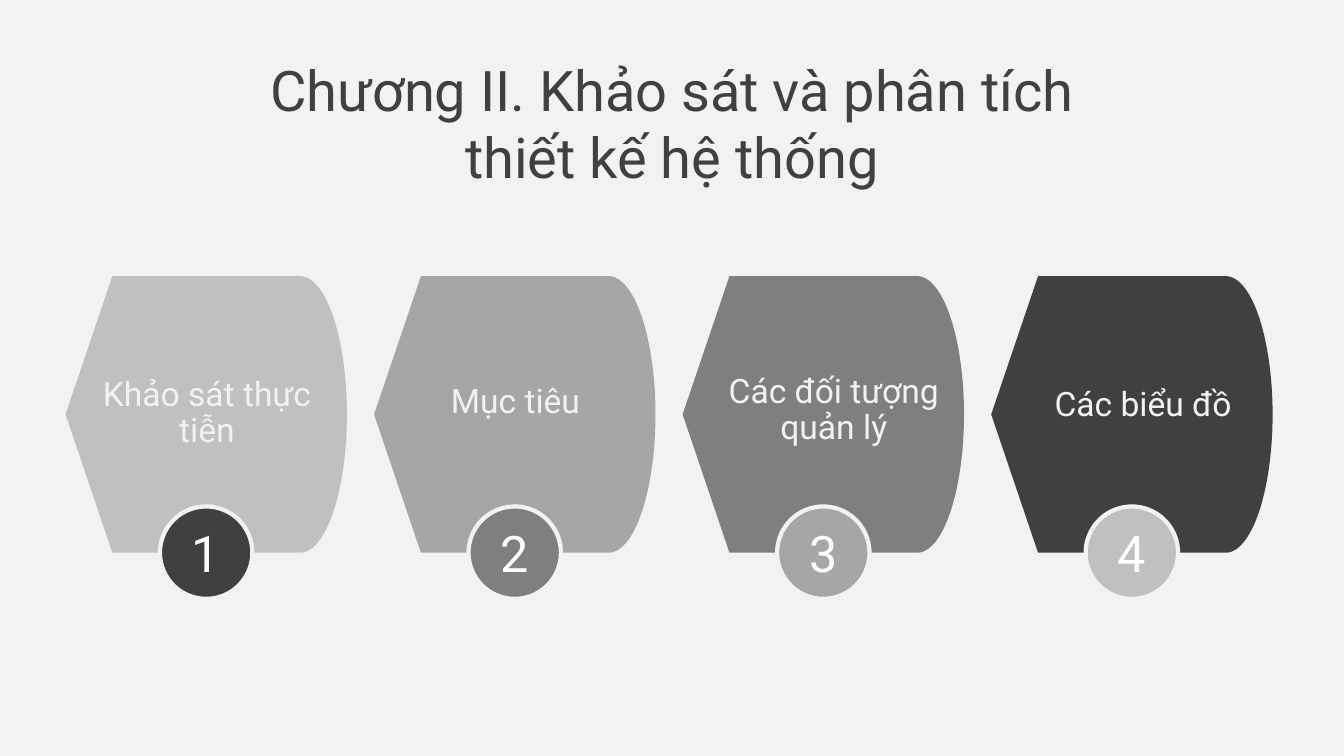
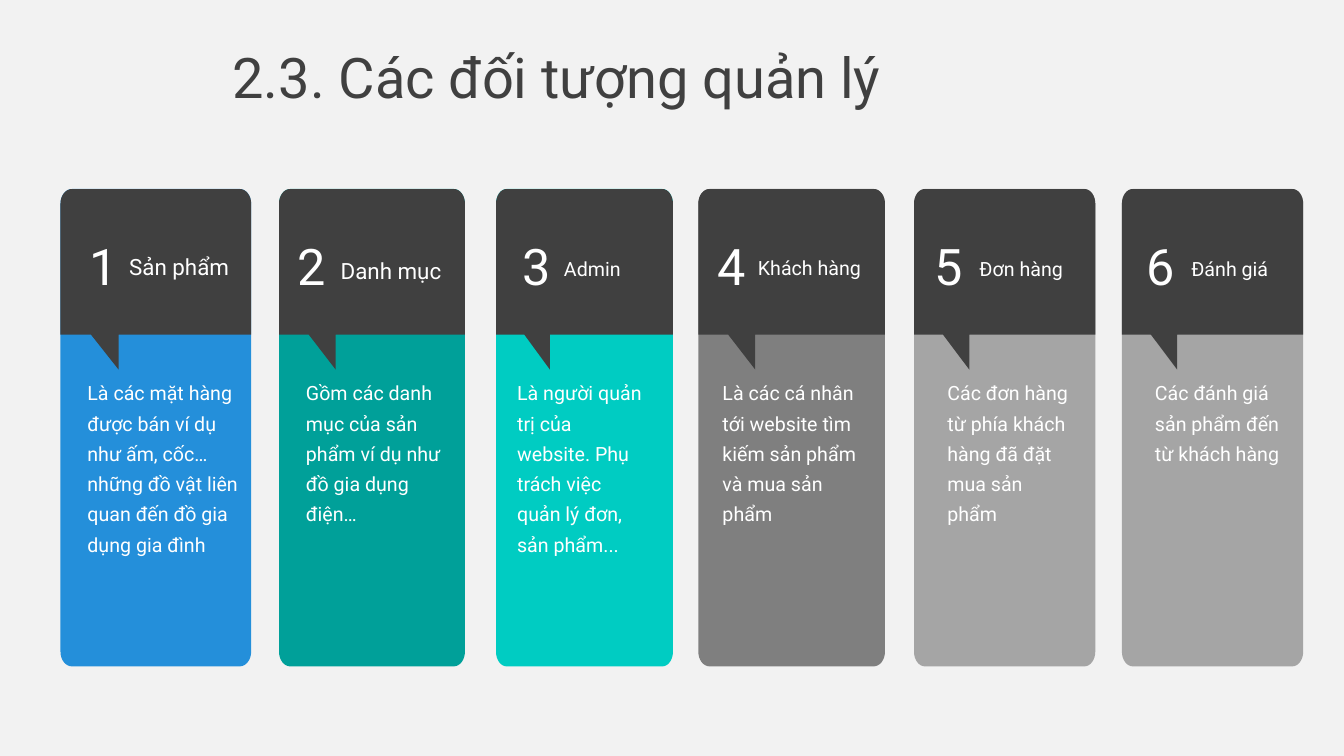
from math import cos, pi, sin

from pptx import Presentation
from pptx.dml.color import RGBColor
from pptx.enum.shapes import MSO_SHAPE
from pptx.enum.text import MSO_ANCHOR, MSO_AUTO_SIZE, PP_ALIGN
from pptx.util import Pt

DISPLAY, OVAL = MSO_SHAPE.FLOWCHART_DISPLAY, MSO_SHAPE.OVAL
TOP, MIDDLE = MSO_ANCHOR.TOP, MSO_ANCHOR.MIDDLE
LEFT, CENTER = PP_ALIGN.LEFT, PP_ALIGN.CENTER
NO_FIT = MSO_AUTO_SIZE.NONE

WHITE = RGBColor(0xFF, 0xFF, 0xFF)
PAPER = RGBColor(0xF2, 0xF2, 0xF2)
DARK = RGBColor(0x40, 0x40, 0x40)
GREY = RGBColor(0x7F, 0x7F, 0x7F)
MID_GREY = RGBColor(0xA6, 0xA6, 0xA6)
CARD_GREY = RGBColor(0xA5, 0xA5, 0xA5)
LIGHT_GREY = RGBColor(0xC0, 0xC0, 0xC0)
BLUE = RGBColor(0x24, 0x8F, 0xDA)
TEAL = RGBColor(0x00, 0xA0, 0x99)
TURQUOISE = RGBColor(0x00, 0xCC, 0xC2)

FONT = "Roboto"
TITLE_ONLY = 5

# label, colour, badge colour, label offset from the step (x, y)
STEPS = [
    ("Khảo sát thực tiễn", LIGHT_GREY, DARK, 8, 69),
    ("Mục tiêu", MID_GREY, GREY, 8, 74),
    ("Các đối tượng quản lý", GREY, MID_GREY, 15, 66.5),
    ("Các biểu đồ", DARK, LIGHT_GREY, 15.5, 76),
]

# left, width, colour, number centre, (label, size, x, y), (text, x, width)
CARDS = [
    (43.2, 136.2, BLUE, 30.5, ("Sản phẩm", 16, 42, 40),
     ("Là các mặt hàng được bán ví dụ như ấm, cốc… những đồ vật liên quan "
      "đến đồ gia dụng gia đình", 12.2, 124)),
    (199.3, 132.8, TEAL, 23, ("Danh mục", 16, 37, 43),
     ("Gồm các danh mục của sản phẩm ví dụ như đồ gia dụng điện…", 12.2, 114)),
    (354.3, 126.4, TURQUOISE, 29, ("Admin", 14, 41.5, 40),
     ("Là người quản trị của website. Phụ trách việc quản lý đơn, "
      "sản phẩm...", 8, 108.7)),
    (498.8, 133.3, GREY, 24, ("Khách hàng", 14, 35.5, 39.5),
     ("Là các cá nhân tới website tìm kiếm sản phẩm và mua sản phẩm",
      10.2, 114.5)),
    (652.9, 129.5, CARD_GREY, 24.5, ("Đơn hàng", 14, 39.7, 40.5),
     ("Các đơn hàng từ phía khách hàng đã đặt mua sản phẩm", 16.7, 104.4)),
    (801.4, 129.5, CARD_GREY, 27.5, ("Đánh giá", 14, 42.5, 40.5),
     ("Các đánh giá sản phẩm đến từ khách hàng", 16.5, 105)),
]


def box(*lengths):
    return [Pt(v) for v in lengths]


def write(tf, text, size, color, align=LEFT, anchor=TOP, spacing=None):
    frame = dict(word_wrap=True, auto_size=NO_FIT, vertical_anchor=anchor)
    for name, value in frame.items():
        setattr(tf, name, value)
    p = tf.paragraphs[0]
    p.alignment = align
    p.line_spacing = spacing
    r = p.add_run()
    r.text = text
    for name, value in dict(name=FONT, size=Pt(size)).items():
        setattr(r.font, name, value)
    r.font.color.rgb = color


def add_text(s, x, y, w, h, text, size, color, **style):
    tb = s.shapes.add_textbox(*box(x, y, w, h))
    write(tb.text_frame, text, size, color, **style)


def paint(sp, color):
    sp.shadow.inherit = False
    sp.fill.solid()
    sp.fill.fore_color.rgb = color
    sp.line.fill.background()


def add_slide(prs, title, *title_box):
    s = prs.slides.add_slide(prs.slide_layouts[TITLE_ONLY])
    sp = s.shapes.title
    sp.left, sp.top, sp.width, sp.height = box(*title_box)
    write(sp.text_frame, title, 40, DARK, align=CENTER)
    return s


def add_step(s, x, y, w, h, number, step):
    label, color, badge_color, dx, dy = step
    paint(s.shapes.add_shape(DISPLAY, *box(x, y, w, h)), color)
    d = 66
    badge = s.shapes.add_shape(
        OVAL, *box(x + (w - d) / 2, y + h - d / 2, d, d))
    paint(badge, badge_color)
    badge.line.color.rgb = PAPER
    badge.line.width = Pt(3)
    write(badge.text_frame, str(number), 36, WHITE, align=CENTER, anchor=MIDDLE)
    add_text(s, x + dx, y + dy, 186, 60, label, 24, PAPER,
             align=CENTER, spacing=0.9)


def corner(cx, cy, rx, ry, start):
    """Points of a quarter ellipse, clockwise from the start angle."""
    angles = [start + pi / 2 * i / 8 for i in range(9)]
    return [(cx + rx * cos(a), cy + ry * sin(a)) for a in angles]


def add_outline(s, points, color):
    points = [box(*point) for point in points]
    fb = s.shapes.build_freeform(*points[0])
    fb.add_line_segments(points[1:], close=True)
    paint(fb.convert_to_shape(), color)


def add_card(s, y, h, number, card):
    x, w, color, number_x, (label, size, dx, dy), (text, text_x, text_w) = card
    rx, ry, fold, tip = 0.06 * w, 10.5, 104, 129
    right, bottom = x + w, y + h
    top = (corner(x + rx, y + ry, rx, ry, pi)
           + corner(right - rx, y + ry, rx, ry, 1.5 * pi))
    base = (corner(right - rx, bottom - ry, rx, ry, 0)
            + corner(x + rx, bottom - ry, rx, ry, pi / 2))
    tail = [(right, y + fold), (x + 0.305 * w, y + fold),
            (x + 0.305 * w, y + tip), (x + 0.16 * w, y + fold), (x, y + fold)]
    add_outline(s, top + base, color)
    add_outline(s, top + tail, DARK)
    add_text(s, x + dx, y + dy, 102, 30, label, size, WHITE, spacing=Pt(21.6))
    add_text(s, x + number_x - 23, y + 29.5, 46, 51, str(number), 36, WHITE,
             align=CENTER)
    add_text(s, x + text_x, y + tip, text_w, 138, text, 14, WHITE,
             spacing=Pt(21.6))


def steps_slide(prs):
    s = add_slide(prs, "Chương II. Khảo sát và phân tích thiết kế hệ thống",
                  176, 36, 608, 104)
    for i, step in enumerate(STEPS):
        add_step(s, 46.8 + 220.4 * i, 197.2, 201, 197.6, i + 1, step)


def cards_slide(prs):
    s = add_slide(prs, "2.3. Các đối tượng quản lý", 43, 26.6, 709, 55.6)
    for number, card in enumerate(CARDS, 1):
        add_card(s, 135, 341, number, card)


def main():
    prs = Presentation()
    prs.slide_width, prs.slide_height = box(960, 540)
    fill = prs.slide_master.background.fill
    fill.solid()
    fill.fore_color.rgb = PAPER
    steps_slide(prs)
    cards_slide(prs)
    prs.save("out.pptx")


if __name__ == "__main__":
    main()
